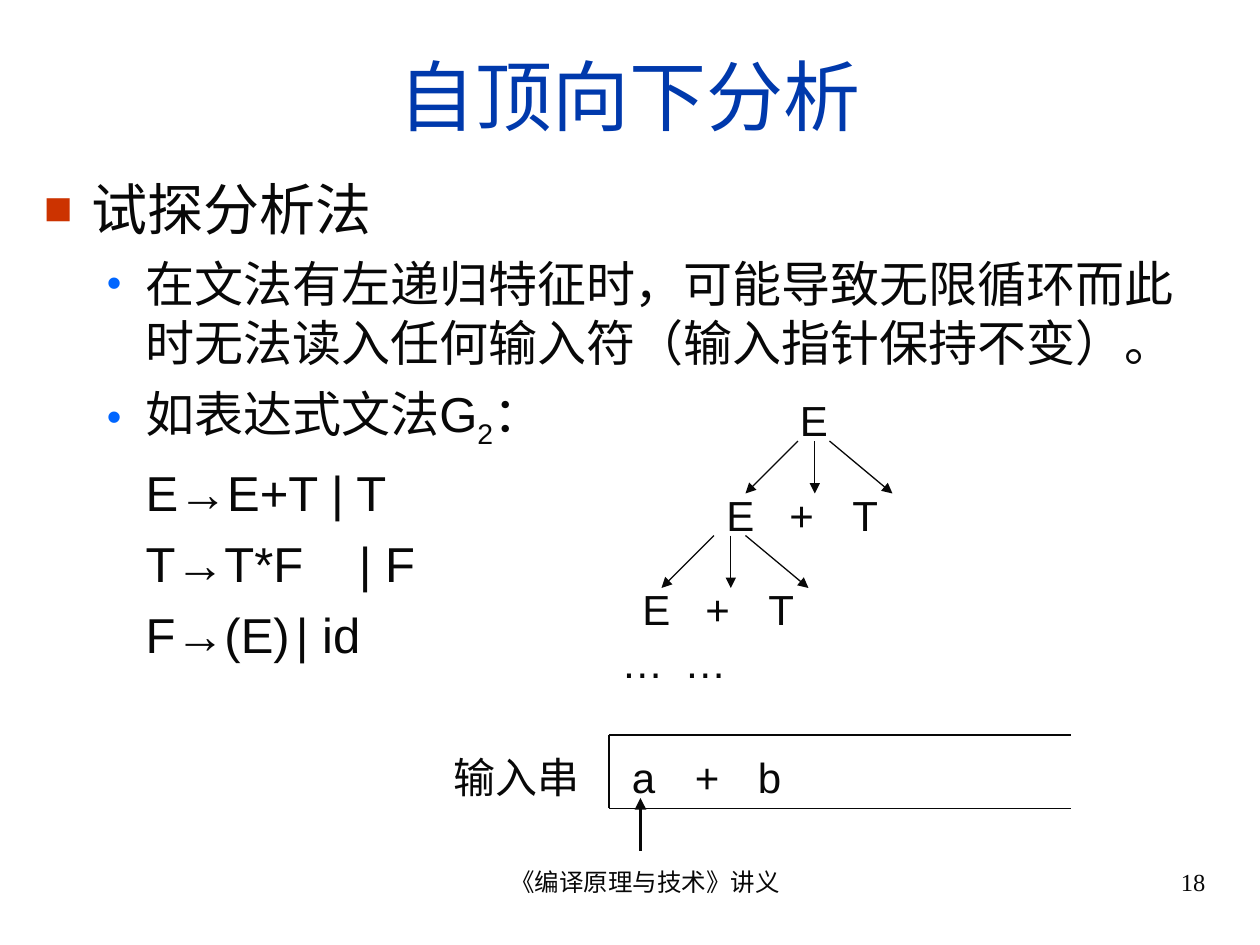
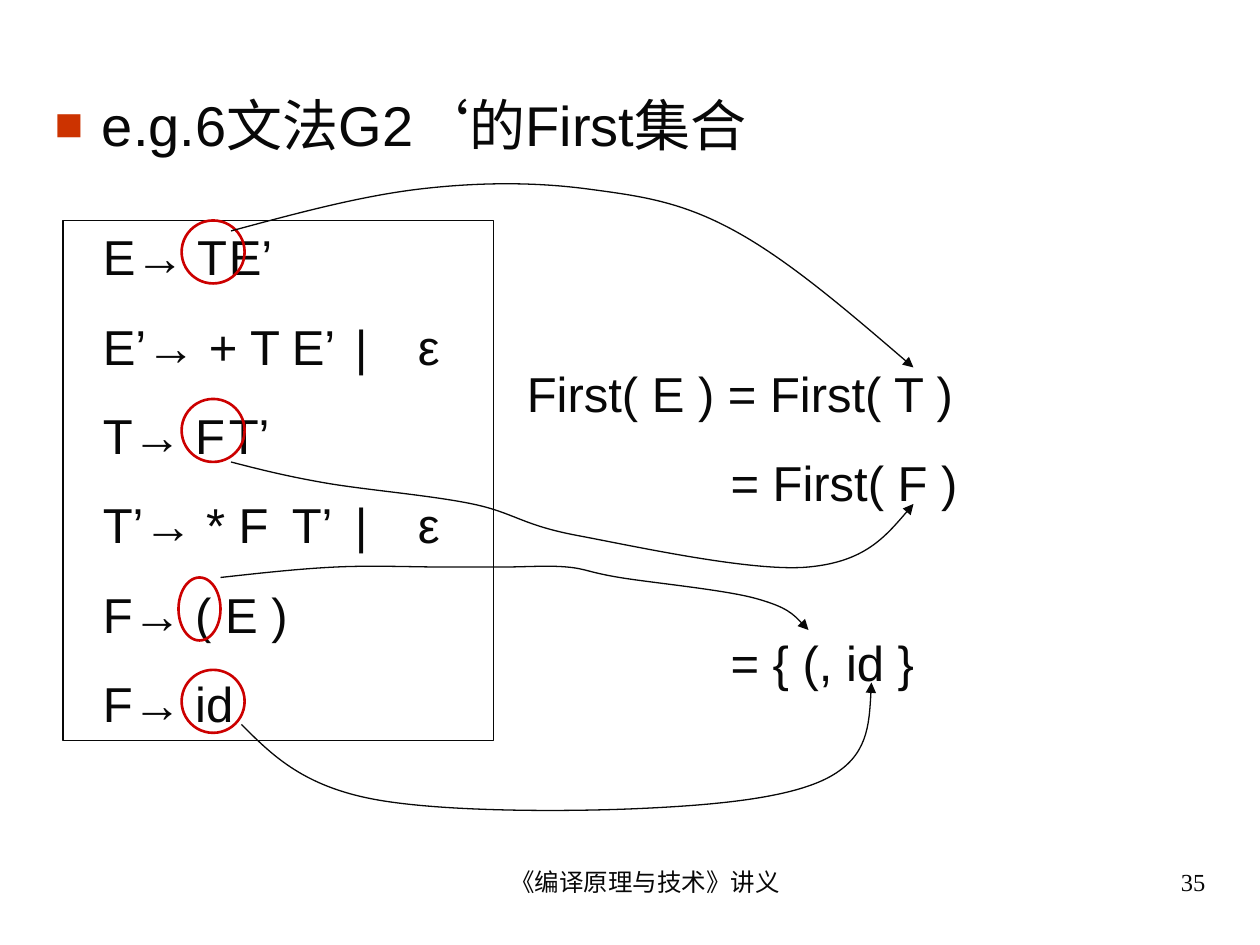
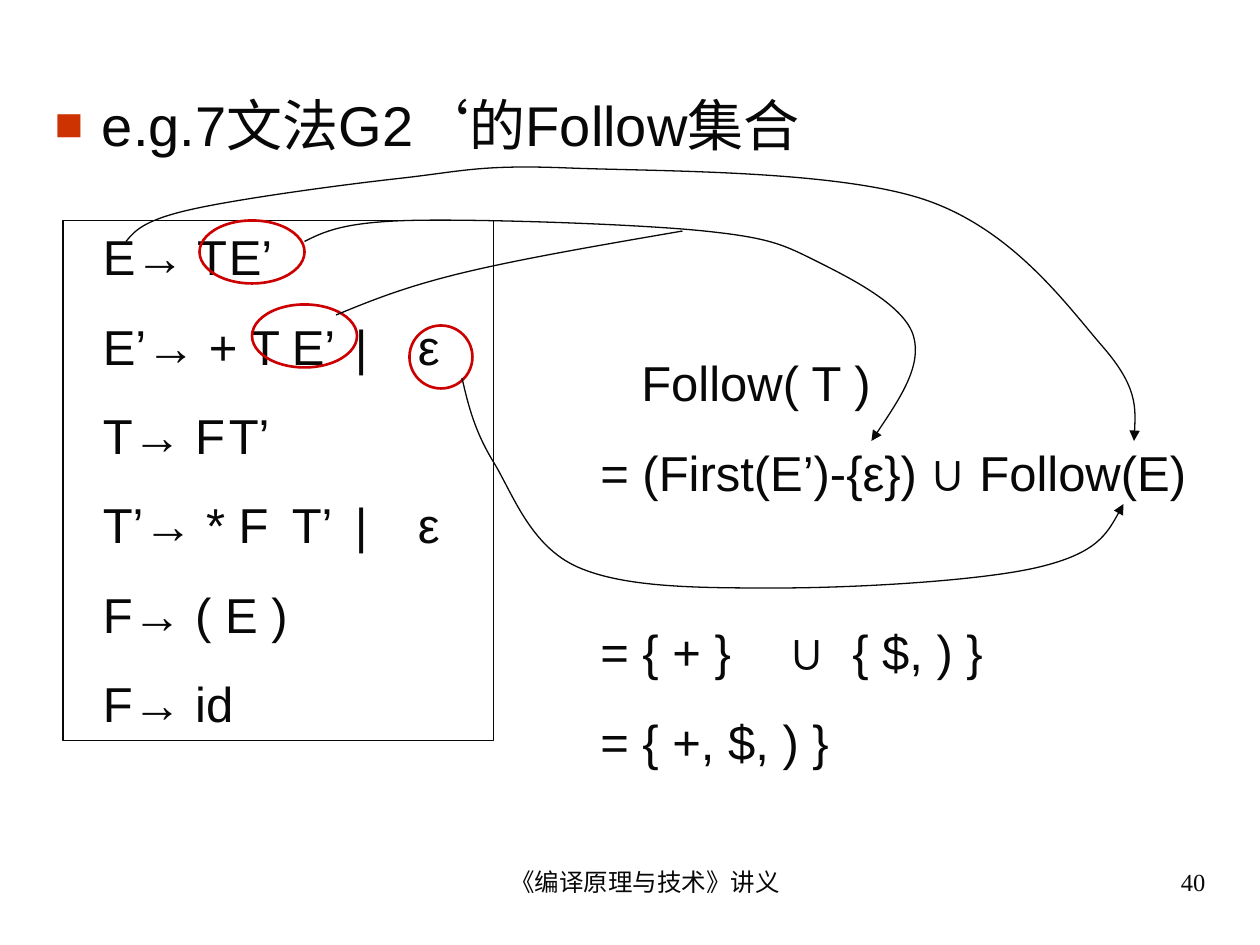
from dataclasses import dataclass

from lxml.etree import SubElement
from pptx import Presentation
from pptx.dml.color import RGBColor
from pptx.enum.shapes import MSO_CONNECTOR, MSO_SHAPE
from pptx.enum.text import MSO_ANCHOR, MSO_AUTO_SIZE, PP_ALIGN
from pptx.oxml.ns import qn
from pptx.util import Pt

PX = 7620  # EMU in one px, 120 px to the inch
INK = RGBColor(0x08, 0x08, 0x08)
TITLE_BLUE = RGBColor(0x00, 0x39, 0xAC)
MARK_RED = RGBColor(0xCC, 0x00, 0x00)
SQUARE_BULLET = ("■", RGBColor(0xCC, 0x33, 0x00))
ROUND_BULLET = ("•", RGBColor(0x00, 0x66, 0xFF))
SANS, SERIF = "Arial", "Times New Roman"
WIDE_GAP = 17.5  # points between the lines of a derivation
FOOTER = "《编译原理与技术》讲义"


@dataclass
class Box:
    left: int
    top: int
    width: int
    height: int

    def inner(self, left, top, width, height):
        return Box(self.left + left, self.top + top, width, height)

    def point(self, x, y):
        return (self.left + x) * PX, (self.top + y) * PX

    def emu(self):
        return [n * PX for n in (self.left, self.top, self.width, self.height)]


@dataclass
class Line:
    text: str
    size: float = 28
    margin: int = 0
    indent: int = 0
    before: float = 0
    bullet: tuple = None
    tabs: tuple = ()


TITLE_BOX = Box(40, 30, 1120, 120)
HEADING_BOX = Box(40, 80, 1120, 80)
DIAGRAM_BOX = Box(60, 150, 1090, 640)

GRAMMAR = [
    ("E→ T\tE’", (143,)),
    ("E’→ + T\tE’\t|\tε", (194, 261, 311)),
    ("T→ F\tT’", (139,)),
    ("T’→ * F\tT’\t|\tε", (181, 246, 297)),
    ("F→ ( E )", ()),
    ("F→ id", ()),
]


# Text

def style_span(span, size, font=SANS, color=INK):
    span.font.size = Pt(size)
    span.font.name = font
    span.font.color.rgb = color


def format_para(para, line):
    props = para._p.get_or_add_pPr()
    props.set("marL", str(line.margin * PX))
    props.set("indent", str(line.indent * PX))
    if line.bullet:
        char, color = line.bullet
        SubElement(SubElement(props, qn("a:buClr")), qn("a:srgbClr"), val=str(color))
        SubElement(props, qn("a:buSzPct"), val="85000")
        SubElement(props, qn("a:buFont"), typeface=SANS)
        SubElement(props, qn("a:buChar"), char=char)
    if line.tabs:
        stops = SubElement(props, qn("a:tabLst"))
        for stop in line.tabs:
            SubElement(stops, qn("a:tab"), pos=str(stop * PX), algn="l")
    para.space_before = Pt(line.before)


def fill_frame(frame, lines, font=SANS, color=INK, align=PP_ALIGN.LEFT,
               anchor=MSO_ANCHOR.TOP, inset=12):
    frame.word_wrap = True
    frame.auto_size = MSO_AUTO_SIZE.NONE
    frame.vertical_anchor = anchor
    frame.margin_left, frame.margin_right = inset * PX, 12 * PX
    frame.margin_top = frame.margin_bottom = 6 * PX
    for number, line in enumerate(lines):
        para = frame.add_paragraph() if number else frame.paragraphs[0]
        para.text = line.text
        format_para(para, line)
        para.alignment = align
        for span in para.runs:
            style_span(span, line.size, font, color)


def add_text(page, box, lines, **style):
    frame = page.shapes.add_textbox(*box.emu()).text_frame
    fill_frame(frame, lines, **style)
    return frame


# Lines and outlines

def style_outline(shape, color=INK, width=0.75):
    shape.line.color.rgb = color
    shape.line.width = Pt(width)


def add_arrowhead(shape):
    SubElement(shape.element.spPr.find(qn("a:ln")), qn("a:tailEnd"), type="triangle")


def add_line(page, box, start, end, width=0.75, arrow=False):
    line = page.shapes.add_connector(
        MSO_CONNECTOR.STRAIGHT, *box.point(*start), *box.point(*end))
    style_outline(line, width=width)
    if arrow:
        add_arrowhead(line)
    SubElement(line.element.spPr, qn("a:effectLst"))


def add_outline(page, box, kind, color=INK, width=0.75):
    shape = page.shapes.add_shape(kind, *box.emu())
    shape.shadow.inherit = False
    shape.fill.background()
    style_outline(shape, color, width)
    return shape


def bezier_points(knots):
    """Three points per segment of a smooth curve through the knots."""
    last = len(knots) - 1

    def handle(index, sign):
        (x, y), before, after = knots[index], knots[index - 1], knots[index + 1]
        return (x + sign * (after[0] - before[0]) / 6,
                y + sign * (after[1] - before[1]) / 6)

    def middle(a, b):
        return (a[0] + b[0]) / 2, (a[1] + b[1]) / 2

    points = []
    for index in range(last):
        leave = handle(index, 1) if index else None
        arrive = handle(index + 1, -1) if index + 1 < last else None
        leave = leave or middle(knots[index], arrive)
        arrive = arrive or middle(leave, knots[last])
        points += [leave, arrive, knots[index + 1]]
    return points


def add_curve(page, box, knots, arrow=True):
    start = box.point(*knots[0])
    builder = page.shapes.build_freeform(*start, scale=1.0)
    builder.add_line_segments(
        [tuple(round(n) for n in box.point(*point)) for point in bezier_points(knots)],
        close=False)
    curve = builder.convert_to_shape()
    # Join each three straight steps into one cubic segment
    steps = list(curve.element.iter(qn("a:lnTo")))
    outline = steps[0].getparent()
    for first in range(0, len(steps), 3):
        segment = SubElement(outline, qn("a:cubicBezTo"))
        for step in steps[first:first + 3]:
            segment.append(step[0])
            outline.remove(step)
    curve.shadow.inherit = False
    curve.fill.background()
    style_outline(curve)
    if arrow:
        add_arrowhead(curve)


# Shared slide parts

def add_page(deck, number, box, title, **style):
    page = deck.slides.add_slide(deck.slide_layouts[5])
    holder = page.shapes.title
    holder.left, holder.top, holder.width, holder.height = box.emu()
    fill_frame(holder.text_frame, [title], **style)
    for place, text, align in (
            (Box(410, 820, 380, 62), FOOTER, PP_ALIGN.CENTER),
            (Box(860, 820, 300, 62), str(number), PP_ALIGN.RIGHT)):
        add_text(page, place, [Line(text, 14, margin=29)], font=SERIF, align=align)
    return page


def add_heading_page(deck, number, text):
    heading = Line(text, 32, margin=45, indent=-45, bullet=SQUARE_BULLET)
    return add_page(deck, number, HEADING_BOX, heading)


def add_grammar(page, box):
    frame = add_outline(page, box, MSO_SHAPE.RECTANGLE).text_frame
    lines = [Line(text, tabs=tabs, before=WIDE_GAP if row else 0)
             for row, (text, tabs) in enumerate(GRAMMAR)]
    fill_frame(frame, lines, inset=38)


def add_diagram(page, box, marks, curves):
    add_grammar(page, box.inner(0, 60, 410, 495))
    for mark in marks:
        add_outline(page, box.inner(*mark), MSO_SHAPE.OVAL, MARK_RED, 1.5)
    for knots in curves:
        add_curve(page, box, knots)


# Slide 1: top-down analysis

def add_method_text(page, box):
    item = dict(margin=97, indent=-37, before=7, bullet=ROUND_BULLET)
    rule = dict(indent=97, before=7, tabs=(273,))
    frame = add_text(page, box, [
        Line("试探分析法", 32, margin=45, indent=-45, bullet=SQUARE_BULLET),
        Line("在文法有左递归特征时，可能导致无限循环而此时无法读入任何输入符"
             "（输入指针保持不变）。", **item),
        Line("如表达式文法G", **item),
        Line("E→E+T | T", **rule),
        Line("T→T*F\t| F", **rule),
        Line("F→(E)\t| id", **rule),
    ])
    for text, baseline in (("2", -25000), ("：", 0)):
        span = frame.paragraphs[2].add_run()
        span.text = text
        style_span(span, 28)
        span._r.get_or_add_rPr().set("baseline", str(baseline))


def add_tree(page, box):
    add_text(page, box.inner(170, 0, 70, 60), [Line("E", 24)])
    for level in range(2):
        branch = box.inner(100 - 80 * level, 50 + 90 * level, 270, 100)
        add_text(page, branch.inner(0, 40, 270, 60),
                 [Line("E\t+\tT", 24, tabs=(71, 150))])
        for start, end in ((80, 30), (96, 96), (110, 170)):
            add_line(page, branch, (start, 0), (end, 50), arrow=True)
    add_text(page, box.inner(0, 230, 290, 60), [Line("…\t…", 24, tabs=(107,))])


def add_input_tape(page, box):
    add_text(page, box.inner(0, 10, 150, 60), [Line("输入串", 24)])
    for start, end in (((160, 0), (600, 0)), ((160, 0), (160, 70)),
                       ((160, 70), (600, 70))):
        add_line(page, box, start, end)
    add_text(page, box.inner(170, 10, 460, 60),
             [Line("a\t+\tb", 24, tabs=(56, 123))])
    add_line(page, box, (190, 110), (190, 60), width=2.25, arrow=True)


def build_analysis(deck):
    page = add_page(deck, 18, TITLE_BOX, Line("自顶向下分析", 44), color=TITLE_BLUE,
                    align=PP_ALIGN.CENTER, anchor=MSO_ANCHOR.MIDDLE)
    add_method_text(page, Box(30, 160, 1121, 490))
    add_tree(page, Box(580, 370, 370, 290))
    add_input_tape(page, Box(420, 700, 630, 110))


# Slide 2: First sets

def build_first_sets(deck, box):
    page = add_heading_page(deck, 35, "e.g.6文法G2‘的First集合")
    add_diagram(
        page, box,
        marks=[(113, 60, 60, 60), (113, 230, 60, 60),
               (113, 488, 60, 60), (110, 400, 40, 60)],
        curves=[
            [(160, 70), (340, 30), (500, 30), (640, 70), (810, 200)],
            [(160, 290), (250, 310), (390, 330), (490, 360), (710, 390), (810, 330)],
            [(150, 400), (260, 390), (360, 390), (420, 390), (480, 390),
             (530, 400), (660, 420), (710, 450)],
            [(170, 540), (290, 610), (550, 620), (730, 590), (770, 500)],
        ])
    add_text(page, box.inner(430, 190, 660, 324), [
        Line("First( E ) = First( T )"),
        Line("= First( F )", margin=194, before=WIDE_GAP),
        Line("= { (, id }", margin=194, before=69),
    ])


# Slide 3: Follow sets

def build_follow_sets(deck, box):
    page = add_heading_page(deck, 40, "e.g.7文法G2‘的Follow集合")
    add_diagram(
        page, box,
        marks=[(130, 60, 100, 60), (330, 160, 60, 60), (180, 140, 100, 60)],
        curves=[
            [(230, 80), (330, 60), (610, 70), (720, 100), (810, 170), (770, 270)],
            [(380, 210), (410, 290), (490, 390), (680, 410), (930, 390), (1010, 330)],
            [(60, 80), (120, 50), (320, 20), (480, 10), (820, 40),
             (990, 180), (1020, 270)],
        ])
    add_curve(page, box, [(260, 150), (380, 110), (590, 70)], arrow=False)
    add_text(page, box.inner(500, 180, 590, 409), [
        Line("Follow( T )", margin=39),
        Line("= (First(E’)-{ε}) ∪ Follow(E)", before=WIDE_GAP),
        Line("= { + }\t∪\t{ $, ) }", before=69, tabs=(163, 222)),
        Line("= { +, $, ) }", before=WIDE_GAP),
    ])


def main():
    deck = Presentation()
    deck.slide_width, deck.slide_height = 1200 * PX, 900 * PX
    build_analysis(deck)
    build_first_sets(deck, DIAGRAM_BOX)
    build_follow_sets(deck, DIAGRAM_BOX)
    deck.save("out.pptx")


if __name__ == "__main__":
    main()
